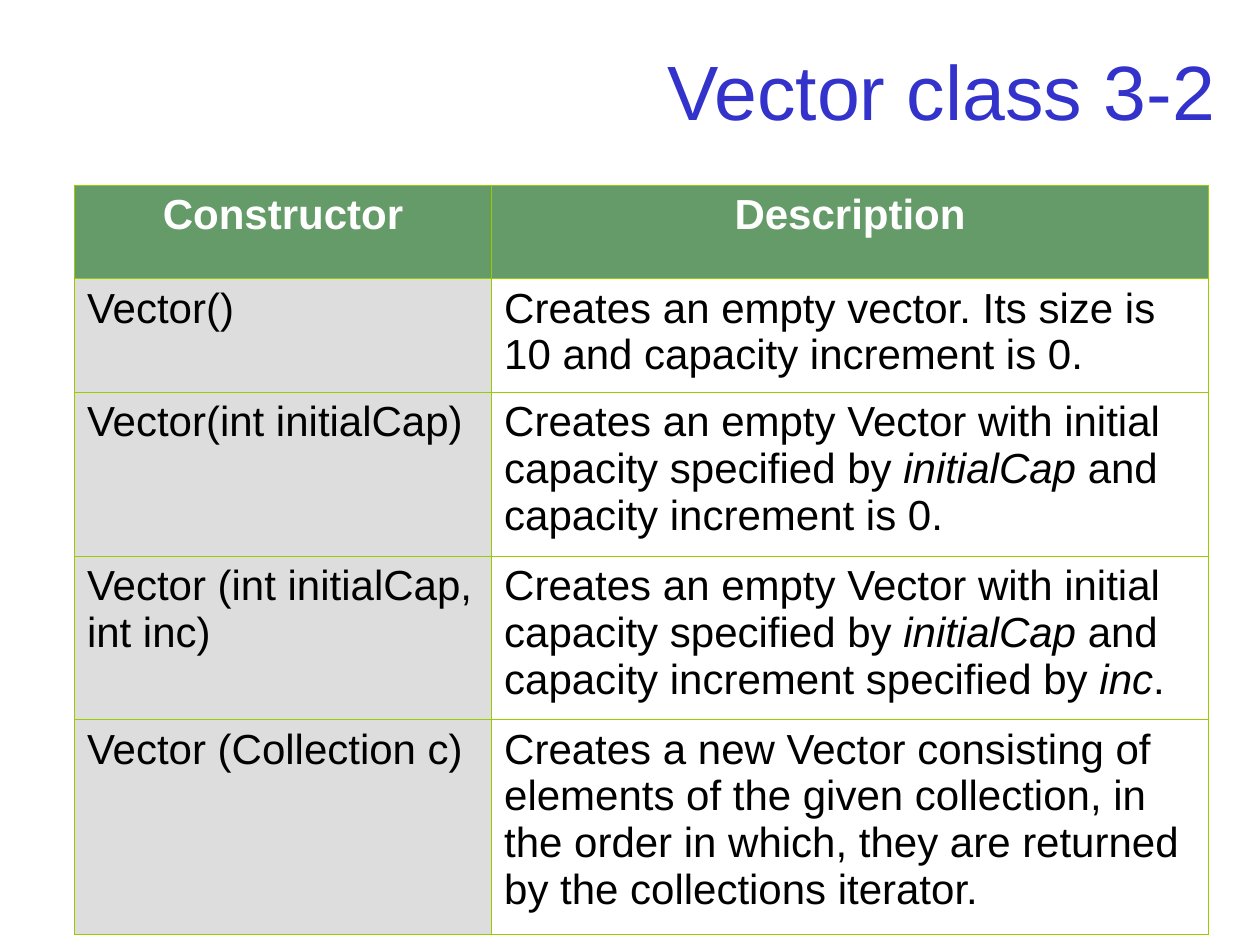
from lxml.etree import SubElement
from pptx import Presentation
from pptx.dml.color import RGBColor
from pptx.enum.text import MSO_ANCHOR as Anchor, PP_ALIGN as Align
from pptx.oxml.ns import qn
from pptx.util import Cm, Pt

COLORS = {
    "title": "3333CC",
    "header": "659B68",
    "header_text": "FFFFFF",
    "constructor": "DDDDDD",
    "text": "000000",
    "border": "99CC00",
}
FONT = "Arial"
BORDER_WIDTH = Pt(0.45)
COLUMN_WIDTHS = [8.41, 14.45]
ROW_HEIGHTS = [1.89, 2.29, 3.3, 3.3, 4.32]

# Asterisks enclose the italic parameter names
HEADINGS = ("Constructor", "Description")
CONSTRUCTORS = [
    ("Vector()",
     "Creates an empty vector. Its size is 10 and capacity increment is 0."),
    ("Vector(int initialCap)",
     "Creates an empty Vector with initial capacity specified by "
     "*initialCap* and capacity increment is 0."),
    ("Vector (int initialCap, int inc)",
     "Creates an empty Vector with initial capacity specified by "
     "*initialCap* and capacity increment specified by *inc*."),
    ("Vector (Collection c)",
     "Creates a new Vector consisting of elements of the given collection, "
     "in the order in which, they are returned by the collections iterator."),
]


def write(frame, text, size=24, color="text", bold=False, align=Align.LEFT):
    paragraph = frame.paragraphs[0]
    paragraph.alignment = align
    paragraph.space_before = Pt(0)
    for index, part in enumerate(text.split("*")):
        run = paragraph.add_run()
        run.text = part
        font = run.font
        font.name, font.size, font.bold = FONT, Pt(size), bold
        font.italic = index % 2 == 1
        font.color.rgb = RGBColor.from_string(COLORS[color])


def add_borders(cell):
    properties = cell._tc.get_or_add_tcPr()
    for side in ("a:lnL", "a:lnR", "a:lnT", "a:lnB"):
        line = SubElement(properties, qn(side), w=str(int(BORDER_WIDTH)))
        fill = SubElement(line, qn("a:solidFill"))
        SubElement(fill, qn("a:srgbClr"), val=COLORS["border"])


def fill_cell(cell, text, fill=None, **text_format):
    add_borders(cell)
    if fill:
        cell.fill.solid()
        cell.fill.fore_color.rgb = RGBColor.from_string(COLORS[fill])
    else:
        cell.fill.background()
    cell.vertical_anchor = Anchor.TOP
    write(cell.text_frame, text, **text_format)


def add_title(slide, text):
    title = slide.shapes.title
    title.left, title.top = Cm(1.9), Cm(0.71)
    title.width, title.height = Cm(22.86), Cm(2.21)
    title.text_frame.vertical_anchor = Anchor.MIDDLE
    write(title.text_frame, text, size=44, color="title", align=Align.RIGHT)


def add_constructor_table(slide):
    table = slide.shapes.add_table(
        len(ROW_HEIGHTS), len(COLUMN_WIDTHS), Cm(1.5), Cm(3.73),
        Cm(sum(COLUMN_WIDTHS)), Cm(sum(ROW_HEIGHTS))).table
    table.horz_banding = False
    for column, width in zip(table.columns, COLUMN_WIDTHS):
        column.width = Cm(width)
    for row, height in zip(table.rows, ROW_HEIGHTS):
        row.height = Cm(height)

    # Header row
    for column, heading in enumerate(HEADINGS):
        fill_cell(table.cell(0, column), heading, fill="header",
                  color="header_text", bold=True, align=Align.CENTER)

    # One row per constructor
    for row, (signature, description) in enumerate(CONSTRUCTORS, start=1):
        fill_cell(table.cell(row, 0), signature, fill="constructor")
        fill_cell(table.cell(row, 1), description)


def main():
    deck = Presentation()
    deck.slide_width, deck.slide_height = Cm(25.4), Cm(19.05)
    slide = deck.slides.add_slide(deck.slide_layouts[5])
    add_title(slide, "Vector class 3-2")
    add_constructor_table(slide)
    deck.save("out.pptx")


if __name__ == "__main__":
    main()
